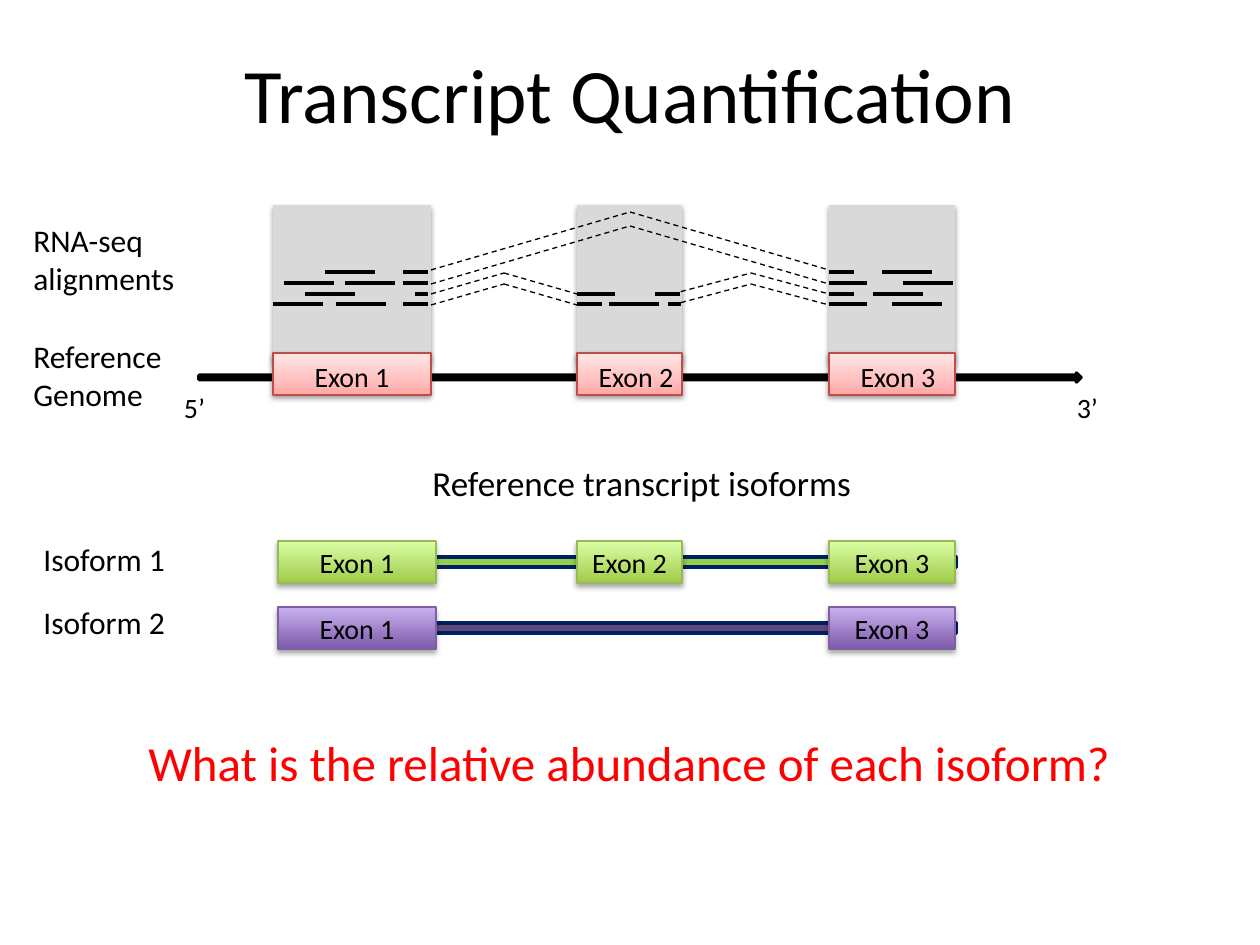
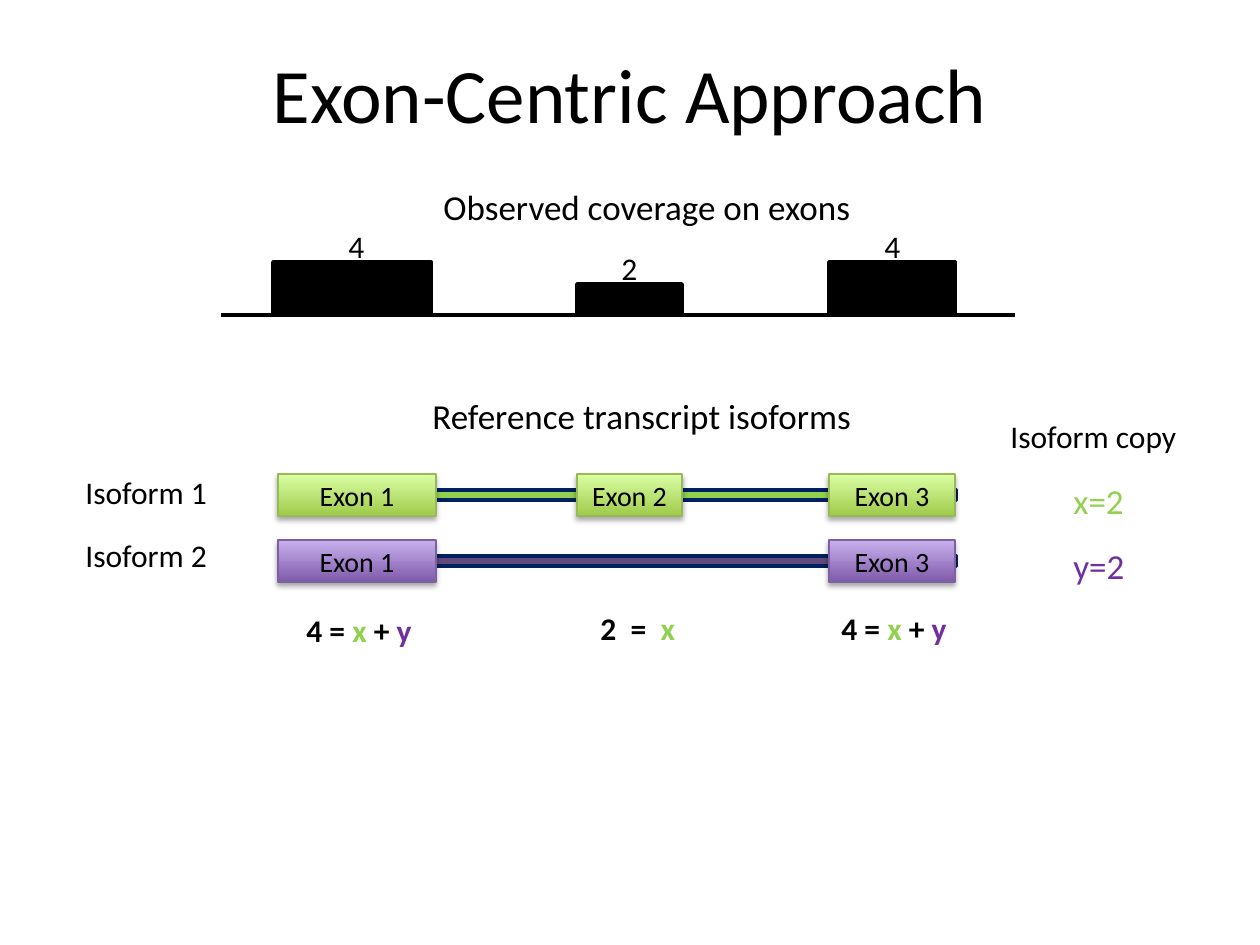
from collections import namedtuple
from copy import deepcopy
from dataclasses import dataclass

from pptx import Presentation
from pptx import util as u
from pptx.dml.color import RGBColor
from pptx.enum import dml, shapes, text
from pptx.oxml.ns import qn
from pptx.oxml.xmlchemy import OxmlElement

PX_PER_INCH = 126
ExonStyle = namedtuple("ExonStyle", "stops outline shadow_alpha shadow_distance")


@dataclass(frozen=True)
class Theme:
    font: str = "Calibri"
    ink: str = "000000"
    question: str = "FF0000"
    coverage_band: str = "D9D9D9"
    backbone_outline: str = "002060"
    green: str = "92D050"
    violet: str = "604A7B"
    y_color: str = "7030A0"
    title_size: int = 44
    question_size: int = 28
    heading_size: int = 20
    label_size: int = 18
    exon_size: int = 16
    heavy: float = 2
    thin: float = 0.75


THEME = Theme()
GENOME_EXON = ExonStyle(((0, "FFA6A5"), (0.35, "FFC0BF"), (1, "FFE7E7")), "BF4C48", 38, 1.6)
GREEN_EXON = ExonStyle(((0, "A0CA4A"), (1, "DAFFA5")), "98B955", 35, 1.8)
VIOLET_EXON = ExonStyle(((0, "7F5BAB"), (1, "C8B0ED")), "7D60A0", 35, 1.8)

# Horizontal layout shared by every track: (offset from the track's left, width)
TRACK_LEFT = 273
EXONS = {"Exon 1": (0, 158), "Exon 2": (304, 105), "Exon 3": (556, 126)}
EXON_HEIGHT = 42
LABEL_HEIGHT = 50

# Reads in each alignment row: (offset, length)
READ_ROWS = {
    67: [(52, 50), (130, 25), (556, 25), (609, 50)],
    78: [(11, 50), (72, 50), (130, 25), (556, 38), (630, 50)],
    89: [(32, 50), (142, 13), (304, 38), (382, 25), (556, 25), (600, 50)],
    99: [(0, 50), (63, 50), (130, 25), (304, 25), (336, 50), (395, 13),
         (556, 38), (619, 50)],
}
# Spliced reads: start, apex and end offsets, base and apex heights
SPLICES = [
    (158, 231, 304, 89, 68), (158, 231, 304, 100, 79),
    (158, 357, 556, 65, 7), (158, 357, 556, 79, 21),
    (399, 478, 556, 89, 68), (399, 478, 556, 100, 79),
]


def px(length):
    return u.Emu(round(length * 914400 / PX_PER_INCH))


def rgb(color):
    return RGBColor.from_string(color)


def format_run(run, size, color, bold=False):
    run.font.name = THEME.font
    run.font.size = u.Pt(size)
    run.font.bold = bold
    run.font.color.rgb = rgb(color)


def add_label(slide, box, words, size=THEME.label_size, color=THEME.ink,
              centred=False, wrap=True):
    frame = slide.shapes.add_textbox(*map(px, box)).text_frame
    frame.word_wrap = wrap
    frame.text = words
    for paragraph in frame.paragraphs:
        if centred:
            paragraph.alignment = text.PP_ALIGN.CENTER
        for run in paragraph.runs:
            format_run(run, size, color)


def add_equation(slide, box, terms):
    """Write (words, color) terms as one bold line."""
    frame = slide.shapes.add_textbox(*map(px, box)).text_frame
    frame.word_wrap = True
    for words, color in terms:
        run = frame.paragraphs[0].add_run()
        run.text = words
        format_run(run, THEME.label_size, color, bold=True)


def add_block(slide, box, fill, outline=None, weight=THEME.heavy,
              preset=shapes.MSO_SHAPE.RECTANGLE):
    block = slide.shapes.add_shape(preset, *map(px, box))
    block.shadow.inherit = False
    block.fill.solid()
    block.fill.fore_color.rgb = rgb(fill)
    if outline:
        block.line.color.rgb = rgb(outline)
        block.line.width = u.Pt(weight)
    else:
        block.line.fill.background()
    return block


def add_line(slide, start, end, weight=THEME.heavy, dashed=False):
    line = slide.shapes.add_connector(
        shapes.MSO_CONNECTOR.STRAIGHT, *map(px, (*start, *end)))
    line.line.color.rgb = rgb(THEME.ink)
    line.line.width = u.Pt(weight)
    if dashed:
        line.line.dash_style = dml.MSO_LINE.DASH
    line._element.spPr.append(OxmlElement("a:effectLst"))


def cast_shadow(block, alpha, distance):
    """Drop a soft black shadow straight down; alpha in percent, distance in points."""
    shadow = OxmlElement("a:outerShdw")
    shadow.set("blurRad", str(u.Pt(3.1)))
    shadow.set("dist", str(u.Pt(distance)))
    shadow.set("dir", "5400000")
    shadow.set("rotWithShape", "0")
    black = OxmlElement("a:srgbClr")
    black.set("val", THEME.ink)
    opacity = OxmlElement("a:alpha")
    opacity.set("val", str(alpha * 1000))
    black.append(opacity)
    shadow.append(black)
    block._element.spPr.find(qn("a:effectLst")).append(shadow)


def fill_gradient(block, stops):
    """Blend the stops from the bottom edge to the top."""
    block.fill.gradient()
    block.fill.gradient_angle = 90
    stop_list = block._element.spPr.find(".//" + qn("a:gsLst"))
    while len(stop_list) < len(stops):
        stop_list.append(deepcopy(stop_list[0]))
    for stop, (position, color) in zip(block.fill.gradient_stops, stops):
        stop.position = position
        stop.color.rgb = rgb(color)


def add_exon(slide, left, top, width, style):
    exon = add_block(slide, (left, top, width, EXON_HEIGHT), style.outline,
                     style.outline, THEME.thin)
    fill_gradient(exon, style.stops)
    cast_shadow(exon, style.shadow_alpha, style.shadow_distance)


def add_exon_name(slide, left, top, width, name):
    add_label(slide, (left, top, width, 46), name, THEME.exon_size, centred=True)


def add_titled_slide(deck, title):
    slide = deck.slides.add_slide(deck.slide_layouts[5])
    holder = slide.shapes.title
    holder.left, holder.top, holder.width, holder.height = map(px, (0, 38, 1260, 158))
    frame = holder.text_frame
    frame.text = title
    frame.vertical_anchor = text.MSO_ANCHOR.TOP
    frame.margin_top = px(9)
    format_run(frame.paragraphs[0].runs[0], THEME.title_size, THEME.ink)
    return slide


def draw_alignments(slide, left, top):
    """Grey exon bands with the plain and the spliced reads on them."""
    for offset, width in EXONS.values():
        band = add_block(slide, (left + offset, top, width, 158), THEME.coverage_band)
        cast_shadow(band, 38, 1.6)
    for row, reads in READ_ROWS.items():
        for offset, length in reads:
            start = left + offset
            add_line(slide, (start, top + row), (start + length, top + row))
    for start, apex, end, base, peak in SPLICES:
        summit = (left + apex, top + peak)
        for foot in (start, end):
            ends = sorted([(left + foot, top + base), summit])
            add_line(slide, *ends, THEME.thin, dashed=True)
    add_label(slide, (left - 252, top + 10, 189, 90), "RNA-seq alignments")


def draw_genome(slide, left, top):
    add_block(slide, (left - 74, top + 20, 882, 9), THEME.ink, THEME.ink,
              preset=shapes.MSO_SHAPE.RIGHT_ARROW)
    name_offsets = (0, -20, -10)
    for (name, (offset, width)), shift in zip(EXONS.items(), name_offsets):
        add_exon(slide, left + offset, top, width, GENOME_EXON)
        add_exon_name(slide, left + offset + shift, top, 158, name)
    for offset, end_name in ((-105, "5’"), (788, "3’")):
        add_exon_name(slide, left + offset, top + 31, 53, end_name)
    add_label(slide, (left - 252, top - 22, 163, 90), "Reference\nGenome", wrap=False)


def draw_isoforms(slide, left, top, name_left):
    add_label(slide, (left + 147, top, 462, 55), "Reference transcript isoforms",
              THEME.heading_size)
    isoforms = [
        ("Isoform 1", THEME.green, GREEN_EXON, ("Exon 1", "Exon 2", "Exon 3")),
        ("Isoform 2", THEME.violet, VIOLET_EXON, ("Exon 1", "Exon 3")),
    ]
    for row, (isoform, backbone, style, exons) in enumerate(isoforms):
        exon_top = top + 86 + 66 * row
        add_block(slide, (left + 32, exon_top + 16, 651, 10), backbone,
                  THEME.backbone_outline)
        for exon in exons:
            offset, width = EXONS[exon]
            exon_left = left + (offset or 5)
            add_exon(slide, exon_left, exon_top, width, style)
            add_exon_name(slide, exon_left, exon_top - 2, width, exon)
        add_label(slide, (name_left, top + 79 + 63 * row, 158, LABEL_HEIGHT), isoform)


def draw_coverage(slide, left, top):
    """Coverage bars per exon, standing on a baseline."""
    add_label(slide, (left + 158, top, 536, 55), "Observed coverage on exons",
              THEME.heading_size)
    baseline = top + 136
    add_line(slide, (left - 52, baseline), (left + 742, baseline))
    bars = (("4", 53, 63), ("2", 31, 32), ("4", 53, 43))
    for (offset, width), (count, height, count_shift) in zip(EXONS.values(), bars):
        bar_left, bar_top = left + offset, baseline - height
        add_block(slide, (bar_left, bar_top, width, height), THEME.ink, THEME.ink)
        add_label(slide, (bar_left + count_shift, bar_top - 41, 84, LABEL_HEIGHT), count)


def draw_copy_numbers(slide, left, top):
    add_label(slide, (left, top, 220, LABEL_HEIGHT), "Isoform copy")
    copies = (("x=2", THEME.green), ("y=2", THEME.y_color))
    for row, (value, color) in enumerate(copies):
        add_label(slide, (left + 63, top + 62 + 65 * row, 84, 55), value,
                  THEME.heading_size, color)


def draw_equations(slide, left, top):
    both = [("4 = ", THEME.ink), ("x ", THEME.green), ("+ ", THEME.ink),
            ("y", THEME.y_color)]
    only_x = [("2  =  ", THEME.ink), ("x", THEME.green)]
    for offset, drop, terms in ((21, 2, both), (315, 0, only_x), (556, 0, both)):
        add_equation(slide, (left + offset, top + drop, 168, LABEL_HEIGHT), terms)


def build_quantification(deck):
    slide = add_titled_slide(deck, "Transcript Quantification")
    draw_alignments(slide, TRACK_LEFT, 205)
    draw_genome(slide, TRACK_LEFT, 353)
    draw_isoforms(slide, TRACK_LEFT, 455, name_left=31)
    add_label(slide, (136, 726, 1103, 72),
              "What is the relative abundance of each isoform?",
              THEME.question_size, THEME.question)


def build_exon_centric(deck):
    slide = add_titled_slide(deck, "Exon-Centric Approach")
    draw_coverage(slide, TRACK_LEFT, 179)
    draw_isoforms(slide, TRACK_LEFT, 388, name_left=73)
    draw_copy_numbers(slide, 998, 411)
    draw_equations(slide, TRACK_LEFT, 603)


def main():
    deck = Presentation()
    deck.slide_width, deck.slide_height = u.Inches(10), u.Inches(7.5)
    build_quantification(deck)
    build_exon_centric(deck)
    deck.save("out.pptx")


if __name__ == "__main__":
    main()
